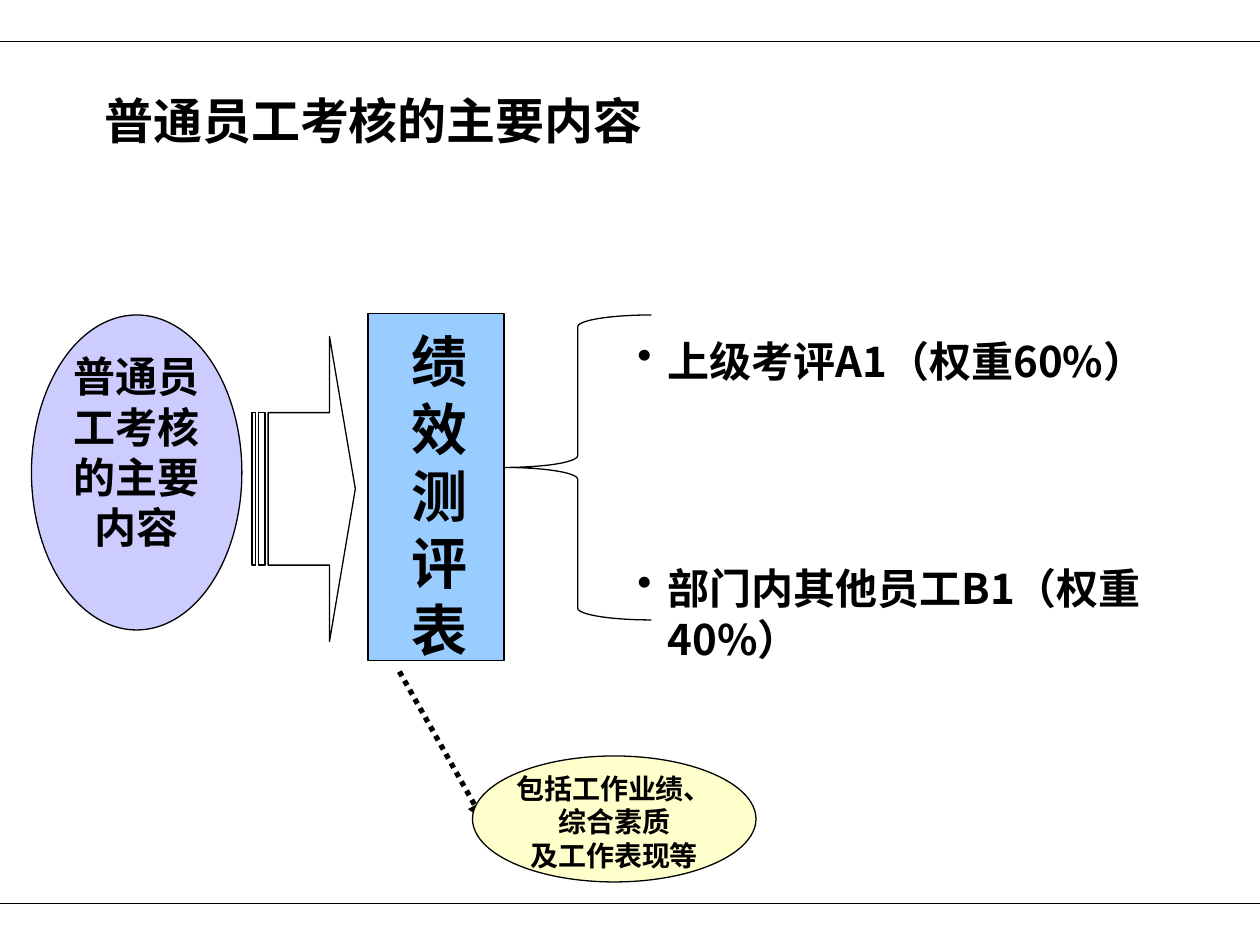
from pptx import Presentation, util as u
from pptx.dml.color import RGBColor
from pptx.enum import dml, shapes, text
from pptx.oxml.ns import qn
from lxml import etree

W, H = 10, 7.5
INK, CJK, ROMAN = "000000", "Noto Sans CJK SC", "Times New Roman"
KIND, MID = shapes.MSO_SHAPE, text.MSO_ANCHOR.MIDDLE
PITCH = 1.2  # line pitch as a share of the text size

# Content: box is left, top, width, height in inches
SHAPES = {
    "topic": (KIND.OVAL, (0.25, 2.5, 1.67, 2.5), "CCCCFF", []),
    "arrow": (KIND.STRIPED_RIGHT_ARROW, (2, 2.67, 0.82, 2.42), None, [0.5, 0.25]),
    "brace": (KIND.LEFT_BRACE, (4, 2.5, 1.17, 2.42), None, [0.08, 0.5]),
    "form": (KIND.RECTANGLE, (2.92, 2.49, 1.08, 2.75), "99CCFF", []),
    "note": (KIND.OVAL, (3.75, 6, 2.25, 1), "FFFFCC", []),
}
INSIDE = [
    ("topic", ["普通员", "工考核", "的主要", "内容"], dict(size=24, font=CJK, foot=0.4)),
    ("note", ["包括工作业绩、", "综合素质", "及工作表现等"], dict(size=16)),
]
TEXTS = [
    ((0.73, 0.63, 5, 1.04), ["普通员工考核的主要内容"], dict(size=28)),
    ((3.17, 2.5, 0.7, 2.77), list("绩效测评表"), dict(size=32)),
    ((4.96, 2.58, 5.22, 2.3), ["上级考评A1（权重60%）", "部门内其他员工B1（权重40%）"],
     dict(size=24, font=CJK, gap=101, bullet=0.24)),
]
RULES = [(0.33, 0.75), (7.17, 1)]  # height on the slide, line width


def rgb(hue):
    return RGBColor.from_string(hue)


def inch(box):
    return [u.Inches(v) for v in box]


def write(frame, lines, size, font=ROMAN, gap=0, bullet=0, foot=0, mid=False):
    drop = size / 720  # lowers the text by a tenth of its size
    look = dict(word_wrap=not mid, margin_left=u.Inches(0.1), margin_right=u.Inches(0.1),
                margin_top=u.Inches(0.05 + drop), margin_bottom=u.Inches(0.05 - drop + foot),
                vertical_anchor=MID if mid else text.MSO_ANCHOR.TOP)
    for key, val in look.items():
        setattr(frame, key, val)
    for i, line in enumerate(lines):
        par = frame.paragraphs[0] if i == 0 else frame.add_paragraph()
        par.alignment = text.PP_ALIGN.CENTER if mid else text.PP_ALIGN.LEFT
        par.line_spacing = u.Pt(size * PITCH)
        if i and gap:
            par.space_before = u.Pt(gap)
        if bullet:
            props = par._p.get_or_add_pPr()
            props.set("marL", str(u.Inches(bullet)))
            props.set("indent", str(-u.Inches(bullet)))
            etree.SubElement(props, qn("a:buChar")).set("char", "•")
        run = par.add_run()
        run.text = line
        for key, val in dict(size=u.Pt(size), bold=True, name=font).items():
            setattr(run.font, key, val)
        run.font.color.rgb = rgb(INK)
        etree.SubElement(run._r.get_or_add_rPr(), qn("a:ea")).set("typeface", CJK)


def draw(slide, kind, box, fill, adjust):
    shape = slide.shapes.add_shape(kind, *inch(box))
    shape.shadow.inherit = False
    if fill:
        shape.fill.solid()
        shape.fill.fore_color.rgb = rgb(fill)
    else:
        shape.fill.background()
    shape.line.color.rgb = rgb(INK)
    shape.line.width = u.Pt(0.75)
    for i, val in enumerate(adjust):
        shape.adjustments[i] = val
    return shape


def rule(slide, ends, width):
    line = slide.shapes.add_connector(shapes.MSO_CONNECTOR.STRAIGHT, *inch(ends))
    line.line.color.rgb = rgb(INK)
    line.line.width = u.Pt(width)
    etree.SubElement(line._element.spPr, qn("a:effectLst"))
    return line


def main():
    deck = Presentation()
    deck.slide_width, deck.slide_height = inch((W, H))
    slide = deck.slides.add_slide(deck.slide_layouts[6])

    # Dotted arrow from the form to the note, behind the note
    link = rule(slide, (3.17, 5.33, 3.83, 6.5), 3).line
    link.dash_style = dml.MSO_LINE.ROUND_DOT
    etree.SubElement(link._get_or_add_ln(), qn("a:tailEnd")).set("type", "triangle")

    # Shapes and the text inside them
    made = {name: draw(slide, *part) for name, part in SHAPES.items()}
    for name, lines, style in INSIDE:
        write(made[name].text_frame, lines, mid=True, **style)

    # Title, form name and weights
    for box, lines, style in TEXTS:
        write(slide.shapes.add_textbox(*inch(box)).text_frame, lines, **style)

    # Rules across the top and bottom
    for y, width in RULES:
        rule(slide, (0, y, W, y), width)

    deck.save("out.pptx")


if __name__ == "__main__":
    main()
